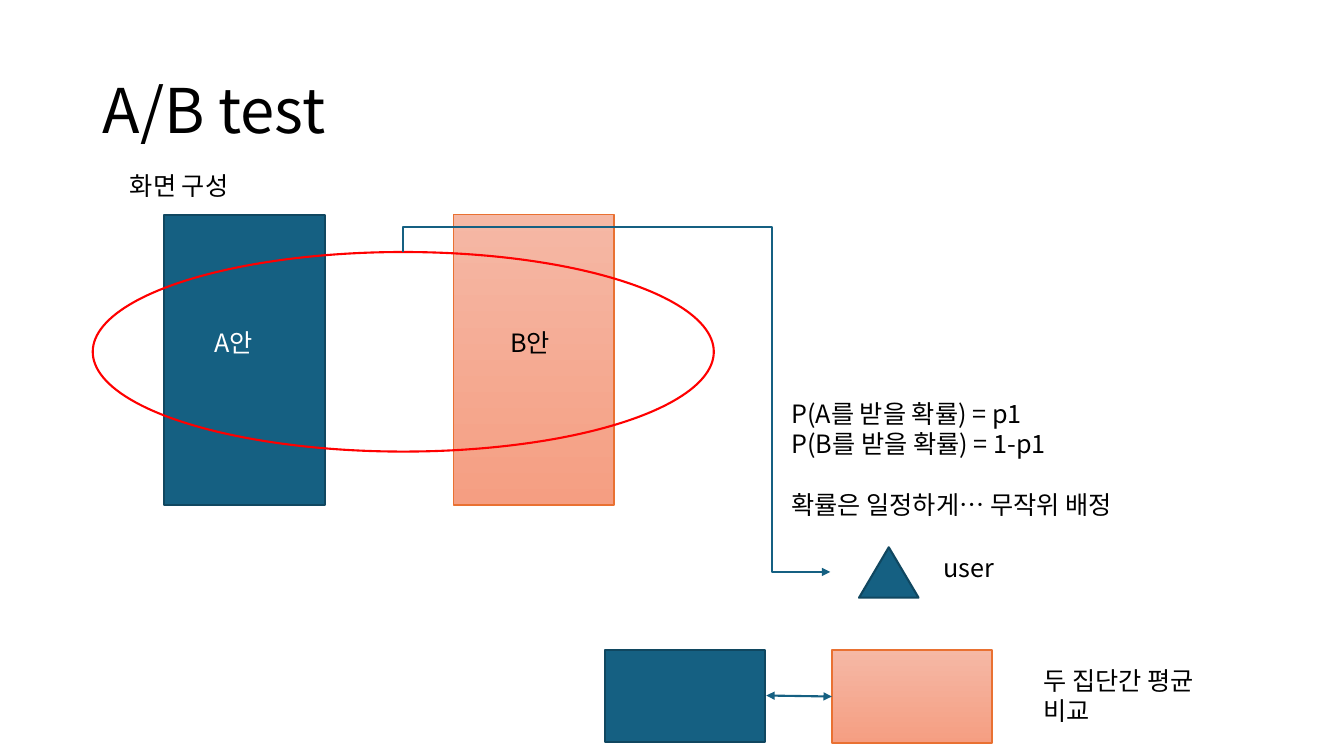
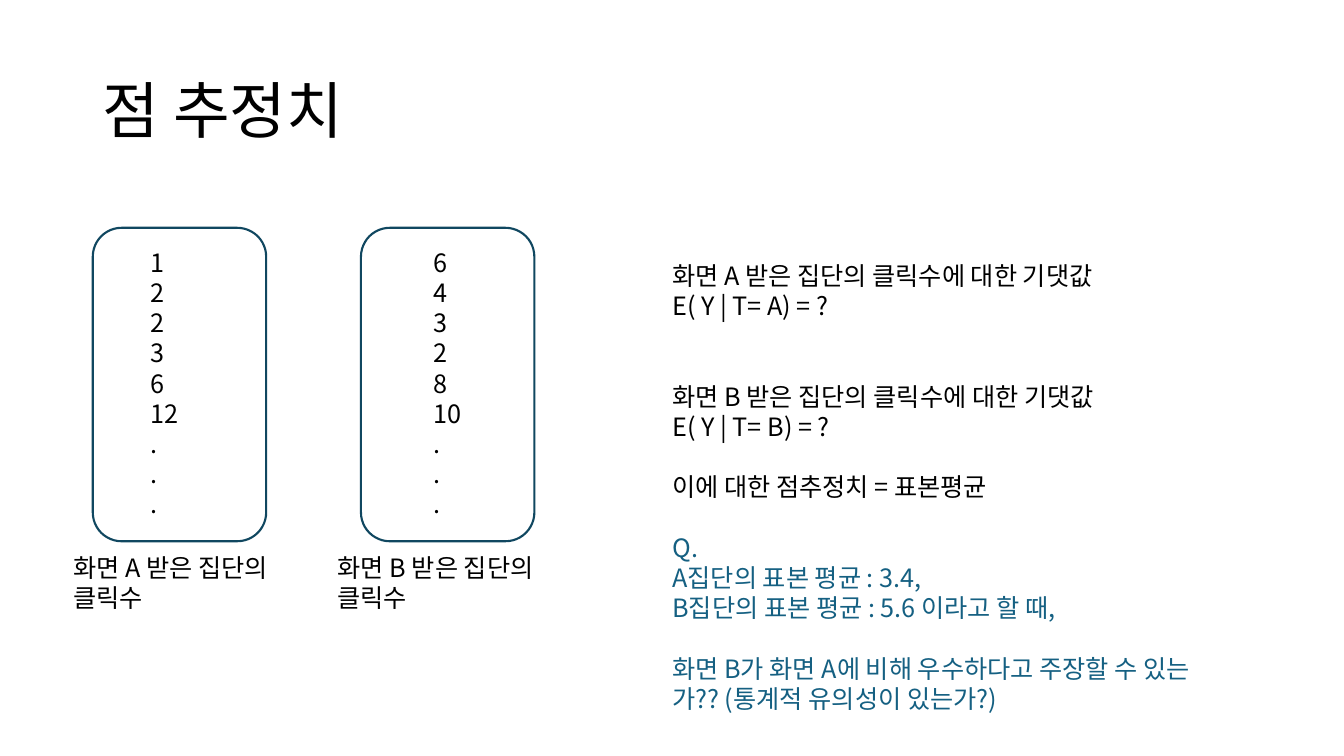
from typing import NamedTuple

from lxml.etree import SubElement
from pptx import Presentation
from pptx.dml.color import RGBColor as Rgb
from pptx.enum.shapes import MSO_CONNECTOR as Link, MSO_SHAPE as Preset
from pptx.enum.text import MSO_ANCHOR as Anchor
from pptx.oxml.ns import qn
from pptx.util import Inches, Pt


class Theme(NamedTuple):
    font: str = "Noto Sans CJK KR"
    title_size: int = 44
    body_size: int = 18
    blank_line: float = 21.6
    stroke: float = 1.5
    thin_stroke: float = 1
    black: Rgb = Rgb.from_string("000000")
    white: Rgb = Rgb.from_string("FFFFFF")
    blue: Rgb = Rgb.from_string("156082")
    dark_blue: Rgb = Rgb.from_string("104760")
    orange: Rgb = Rgb.from_string("E97132")
    peach: tuple = (Rgb.from_string("F5B8A5"), Rgb.from_string("F59E82"))
    red: Rgb = Rgb.from_string("FF0000")


THEME = Theme()


class Block(NamedTuple):
    lines: list
    blanks_before: int = 0
    color: Rgb = THEME.black


def style_paragraph(paragraph, size, color):
    font = paragraph.font
    font.size = Pt(size)
    font.color.rgb = color
    font.name = THEME.font
    SubElement(font._element, qn("a:ea"), typeface=THEME.font)


def add_text(slide, left, top, width, height, blocks, size=THEME.body_size):
    frame = slide.shapes.add_textbox(*map(Inches, (left, top, width, height))).text_frame
    frame.word_wrap = True
    rows = [(block, index, line) for block in blocks for index, line in enumerate(block.lines)]
    frame.text = "\n".join(line for _, _, line in rows)
    for paragraph, (block, index, _) in zip(frame.paragraphs, rows):
        style_paragraph(paragraph, size, block.color)
        if index == 0 and block.blanks_before:
            paragraph.space_before = Pt(block.blanks_before * THEME.blank_line)
    return frame


def add_label(slide, left, top, width, height, *lines, color=THEME.black):
    return add_text(slide, left, top, width, height, [Block(lines, color=color)])


def add_title(slide, title):
    frame = add_text(slide, 0.92, 0.4, 11.5, 1.45, [Block([title])], THEME.title_size)
    frame.vertical_anchor = Anchor.MIDDLE
    frame.paragraphs[0].line_spacing = 0.9


def add_figure(slide, preset, left, top, width, height, line, fill=None, stroke=THEME.stroke):
    figure = slide.shapes.add_shape(preset, *map(Inches, (left, top, width, height)))
    figure.shadow.inherit = False
    figure.line.color.rgb = line
    figure.line.width = Pt(stroke)
    if fill is None:
        figure.fill.background()
    elif isinstance(fill, Rgb):
        figure.fill.solid()
        figure.fill.fore_color.rgb = fill
    else:
        figure.fill.gradient()
        figure.fill.gradient_angle = 270
        for stop, color in zip(figure.fill.gradient_stops, fill):
            stop.color.rgb = color


def add_plan_a(slide, preset, *box):
    add_figure(slide, preset, *box, THEME.dark_blue, THEME.blue)


def add_plan_b(slide, *box):
    add_figure(slide, Preset.RECTANGLE, *box, THEME.orange, THEME.peach, THEME.thin_stroke)


def add_arrow(slide, kind, start, end, heads):
    arrow = slide.shapes.add_connector(kind, *map(Inches, (*start, *end)))
    arrow.line.color.rgb = THEME.blue
    arrow.line.width = Pt(THEME.stroke)
    outline = arrow.line._get_or_add_ln()
    for head in heads:
        SubElement(outline, qn(f"a:{head}"), type="triangle")
    SubElement(arrow._element.spPr, qn("a:effectLst"))
    return arrow


def bend_arrow(arrow, quarter_turns, adjustments):
    properties = arrow._element.spPr
    properties.find(qn("a:xfrm")).set("rot", str(quarter_turns * 5400000))
    geometry = properties.find(qn("a:prstGeom"))
    geometry.set("prst", "bentConnector4")
    guides = geometry.find(qn("a:avLst"))
    for number, value in enumerate(adjustments, 1):
        SubElement(guides, qn("a:gd"), name=f"adj{number}", fmla=f"val {value}")


def add_click_group(slide, name, box_left, caption_left, clicks_left, clicks):
    add_figure(slide, Preset.ROUNDED_RECTANGLE, box_left, 2.26, 1.72, 3.11, THEME.dark_blue)
    add_label(slide, caption_left, 5.43, 2.62, 0.71, f"화면 {name} 받은 집단의", "클릭수")
    add_label(slide, clicks_left, 2.4, 0.68, 3.43, *map(str, clicks), *"...")


def build_ab_test(slide):
    add_title(slide, "A/B test")
    add_label(slide, 1.19, 1.64, 2.33, 0.4, "화면 구성")
    add_plan_a(slide, Preset.RECTANGLE, 1.63, 2.13, 1.59, 2.88)
    add_plan_b(slide, 4.5, 2.13, 1.59, 2.88)
    add_label(slide, 2.03, 3.2, 0.95, 0.4, "A안", color=THEME.white)
    add_label(slide, 4.96, 3.2, 0.95, 0.4, "B안")
    add_figure(slide, Preset.OVAL, 0.92, 2.5, 6.16, 1.98, THEME.red)

    assignment = add_arrow(slide, Link.ELBOW, (7.7, 1.97), (4.53, 6.21), ["tailEnd"])
    bend_arrow(assignment, 3, (-7900, 86300))
    add_plan_a(slide, Preset.ISOSCELES_TRIANGLE, 8.52, 5.43, 0.59, 0.5)
    add_label(slide, 9.26, 5.43, 1.56, 0.4, "user")
    add_text(slide, 7.75, 3.9, 3.83, 1.31, [
        Block(["P(A를 받을 확률) = p1", "P(B를 받을 확률) = 1-p1"]),
        Block(["확률은 일정하게… 무작위 배정"], 1),
    ])

    add_plan_a(slide, Preset.RECTANGLE, 6, 6.45, 1.59, 0.91)
    add_plan_b(slide, 8.25, 6.45, 1.59, 0.92)
    add_arrow(slide, Link.STRAIGHT, (7.6, 6.9), (8.25, 6.91), ["headEnd", "tailEnd"])
    add_label(slide, 10.25, 6.55, 2.16, 0.71, "두 집단간 평균 비교")


def build_point_estimate(slide):
    add_title(slide, "점 추정치")
    add_click_group(slide, "A", 0.92, 0.63, 1.39, (1, 2, 2, 3, 6, 12))
    add_click_group(slide, "B", 3.58, 3.25, 4.2, (6, 4, 3, 2, 8, 10))
    expectations = [
        Block([f"화면 {name} 받은 집단의 클릭수에 대한 기댓값", f"E( Y | T= {name}) = ?"], blanks)
        for name, blanks in (("A", 0), ("B", 2))
    ]
    add_text(slide, 6.57, 2.53, 5.74, 4.64, [
        *expectations,
        Block(["이에 대한 점추정치 = 표본평균"], 1),
        Block(["Q.", "A집단의 표본 평균 : 3.4,", "B집단의 표본 평균 : 5.6 이라고 할 때,"], 1, THEME.blue),
        Block(["화면 B가 화면 A에 비해 우수하다고 주장할 수 있는가?? (통계적 유의성이 있는가?)"],
              1, THEME.blue),
    ])


def main():
    deck = Presentation()
    deck.slide_width, deck.slide_height = Inches(13.33), Inches(7.5)
    blank = deck.slide_layouts[6]
    for build in (build_ab_test, build_point_estimate):
        build(deck.slides.add_slide(blank))
    deck.save("out.pptx")


if __name__ == "__main__":
    main()
